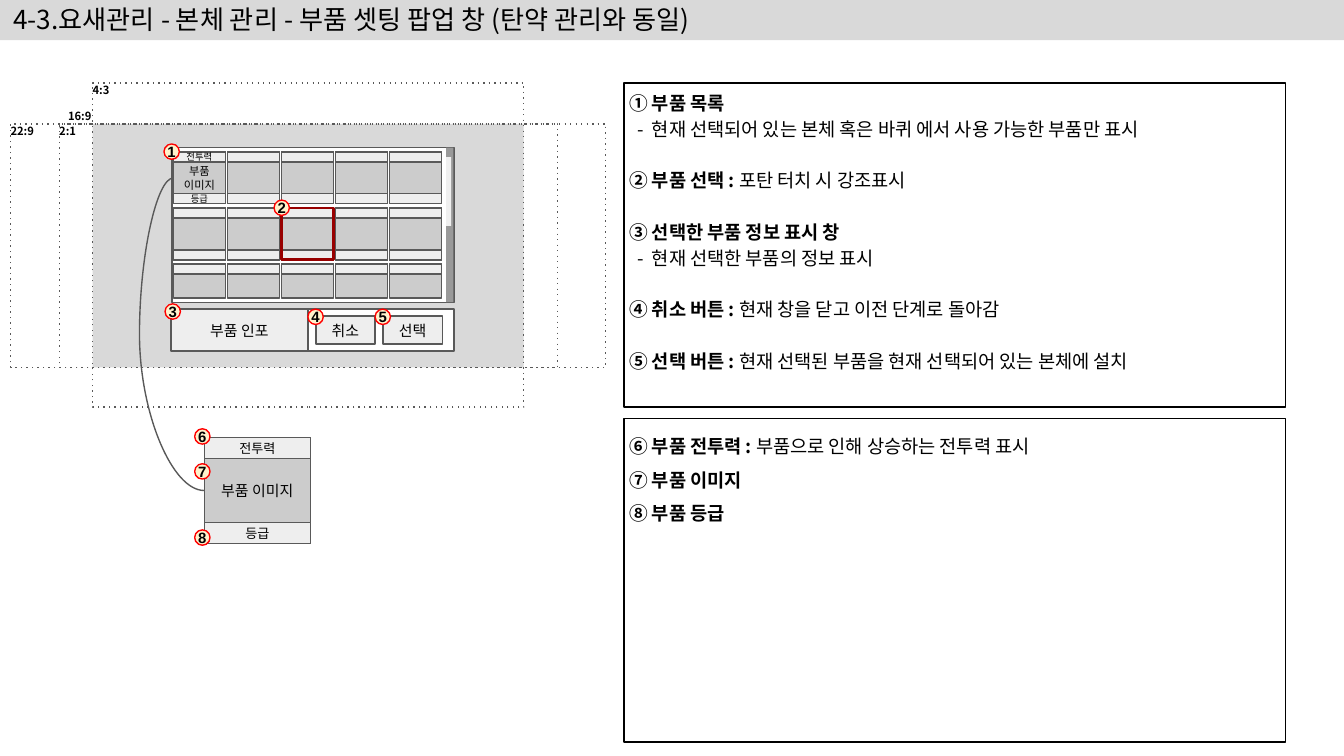
"""Build the part-setting popup wireframe slide with its descriptions."""
from dataclasses import dataclass

from lxml.etree import SubElement
from pptx import Presentation
from pptx.dml.color import RGBColor
from pptx.enum.dml import MSO_LINE
from pptx.enum.shapes import MSO_CONNECTOR, MSO_SHAPE
from pptx.enum.text import MSO_ANCHOR as ANCHOR, MSO_AUTO_SIZE, PP_ALIGN as ALIGN
from pptx.oxml.ns import qn
from pptx.util import Cm, Pt


@dataclass(frozen=True)
class Theme:
    font: str = "Noto Sans CJK KR"
    badge_font: str = "Arial"
    black: str = "000000"
    white: str = "FFFFFF"
    backdrop: str = "D9D9D9"
    outline: str = "595959"
    cell: str = "CCCCCC"
    strip: str = "EEEEEE"
    track: str = "999999"
    thumb: str = "EFEFEF"
    badge: str = "FFF2CC"
    badge_line: str = "FF0000"
    selected: str = "980000"
    title_size: float = 14
    body_size: float = 10
    button_size: float = 8
    detail_size: float = 7
    small_size: float = 6
    tiny_size: float = 5
    line: float = 0.75
    thick_line: float = 1.5


THEME = Theme()
FRAME = (1.75, 1.57, 8.15, 6.12)
GRID_LEFT, GRID_TOP, COLUMN_STEP, ROW_STEP = 3.28, 2.87, 1.02, 1.06
CELL, SHORT_CELL, STRIP = 0.98, 0.64, 0.19
DETAIL_LEFT, DETAIL_TOP, DETAIL, DETAIL_STRIP = 3.86, 8.26, 2.01, 0.4
NOTE_LEFT, NOTE_WIDTH, NOTE_HEIGHT = 11.79, 12.5, 6.12
BLANK_LINE = 13.8

BADGES = ((3.1, 2.72), (5.18, 3.78), (3.12, 5.74), (5.82, 5.84),
          (7.09, 5.84), (3.68, 8.1), (3.68, 8.76), (3.68, 10.01))
RATIO_LABELS = (
    ("2:1", 1.12, 2.34, ALIGN.LEFT, ANCHOR.TOP),
    ("22:9", 0.2, 2.34, ALIGN.LEFT, ANCHOR.TOP),
    ("4:3", 1.75, 1.57, ALIGN.LEFT, ANCHOR.TOP),
    ("16:9", 1.09, 1.85, ALIGN.RIGHT, ANCHOR.BOTTOM),
)
POPUP_NOTES = (
    ("① 부품 목록", ""),
    ("", "현재 선택되어 있는 본체 혹은 바퀴 에서 사용 가능한 부품만 표시"),
    ("② 부품 선택 : ", "포탄 터치 시 강조표시"),
    ("③ 선택한 부품 정보 표시 창", ""),
    ("", "현재 선택한 부품의 정보 표시"),
    ("④ 취소 버튼 : ", "현재 창을 닫고 이전 단계로 돌아감"),
    ("⑤ 선택 버튼 : ", "현재 선택된 부품을 현재 선택되어 있는 본체에 설치"),
)
CELL_NOTES = (
    ("⑥ 부품 전투력 : ", "부품으로 인해 상승하는 전투력 표시"),
    ("⑦ 부품 이미지", ""),
    ("⑧ 부품 등급", ""),
)


def style_paragraph(paragraph, size, align=ALIGN.LEFT, bold=False, name=THEME.font):
    """Set alignment and one font, Korean letters included, on a paragraph."""
    paragraph.alignment = align
    font = paragraph.font
    font.size, font.bold, font.name = Pt(size), bold, name
    font.color.rgb = RGBColor.from_string(THEME.black)
    defaults = paragraph._p.pPr.find(qn("a:defRPr"))
    SubElement(defaults, qn("a:ea"), typeface=name)


def set_frame(frame, margin_x=0, margin_y=0, anchor=ANCHOR.MIDDLE, wrap=True):
    """Set the margins, anchor and wrapping of a text frame."""
    frame.auto_size = MSO_AUTO_SIZE.NONE
    frame.word_wrap, frame.vertical_anchor = wrap, anchor
    frame.margin_left = frame.margin_right = Cm(margin_x)
    frame.margin_top = frame.margin_bottom = Cm(margin_y)


def paint(shape, fill=None, line=None, width=THEME.line):
    """Give a shape its fill and outline, or none of them."""
    if fill:
        shape.fill.solid()
        shape.fill.fore_color.rgb = RGBColor.from_string(fill)
    else:
        shape.fill.background()
    if line:
        shape.line.color.rgb = RGBColor.from_string(line)
        shape.line.width = Pt(width)
    else:
        shape.line.fill.background()


def add_box(slide, box, fill=None, line=THEME.outline, text="", size=THEME.button_size,
            width=THEME.line):
    """Add a rectangle with an optional centred label."""
    shape = slide.shapes.add_shape(MSO_SHAPE.RECTANGLE, *map(Cm, box))
    shape.shadow.inherit = False
    paint(shape, fill, line, width)
    if text:
        set_frame(shape.text_frame)
        shape.text_frame.text = text
        style_paragraph(shape.text_frame.paragraphs[0], size, ALIGN.CENTER)
    return shape


def add_dotted_box(slide, box):
    """Add an unfilled rectangle with a dotted outline."""
    shape = add_box(slide, box)
    shape.line.dash_style = MSO_LINE.ROUND_DOT
    shape._element.spPr.find(".//" + qn("a:prstDash")).set("val", "dot")


def add_ratio_label(slide, text, left, top, align, anchor):
    """Add the small bold label of a screen ratio."""
    label = slide.shapes.add_textbox(Cm(left), Cm(top), Cm(0.64), Cm(0.46))
    set_frame(label.text_frame, anchor=anchor)
    label.text_frame.text = text
    style_paragraph(label.text_frame.paragraphs[0], THEME.small_size, align, True)


def add_badge(slide, number, left, top):
    """Add a numbered round marker."""
    badge = slide.shapes.add_shape(MSO_SHAPE.OVAL, Cm(left), Cm(top), Cm(0.29), Cm(0.29))
    badge.shadow.inherit = False
    paint(badge, THEME.badge, THEME.badge_line)
    set_frame(badge.text_frame, wrap=False)
    badge.text_frame.text = str(number)
    style_paragraph(badge.text_frame.paragraphs[0], THEME.button_size, ALIGN.CENTER,
                    True, THEME.badge_font)


def add_part_cell(slide, left, top, width, height, strip, labels=("", "", ""),
                  sizes=(THEME.small_size, THEME.tiny_size), has_grade=True):
    """Add a part cell with a power strip above and a grade strip below."""
    power, image, grade = labels
    image_size, strip_size = sizes
    add_box(slide, (left, top, width, height), THEME.cell, text=image, size=image_size)
    if has_grade:
        add_box(slide, (left, top + height - strip, width, strip), THEME.strip,
                text=grade, size=strip_size)
    add_box(slide, (left, top, width, strip), THEME.strip, text=power, size=strip_size)


def add_curve(slide, start, end, bend):
    """Add a curved connector that bulges by the given share of its width."""
    curve = slide.shapes.add_connector(MSO_CONNECTOR.CURVE, *map(Cm, start + end))
    curve.line.color.rgb = RGBColor.from_string(THEME.outline)
    curve.line.width = Pt(THEME.line)
    properties = curve._element.spPr
    SubElement(properties, qn("a:effectLst"))
    guides = properties.find(qn("a:prstGeom")).get_or_add_avLst()
    SubElement(guides, qn("a:gd"), name="adj1", fmla=f"val {round(bend * 100000)}")


def place(shape, left, top, width, height):
    """Move and resize a placeholder."""
    shape.left, shape.top = Cm(left), Cm(top)
    shape.width, shape.height = Cm(width), Cm(height)


def fill_title(title, text):
    """Turn the title placeholder into the heading bar."""
    place(title, 0, -0.03, 25.4, 0.79)
    paint(title, THEME.backdrop)
    set_frame(title.text_frame, margin_x=0.25)
    title.text_frame.text = text
    style_paragraph(title.text_frame.paragraphs[0], THEME.title_size)


def fill_notes(body, top, notes, spacing, gap):
    """Write headed notes in a body placeholder, with dashes for plain lines."""
    place(body, NOTE_LEFT, top, NOTE_WIDTH, NOTE_HEIGHT)
    paint(body, line=THEME.black)
    frame = body.text_frame
    set_frame(frame, 0.1, 0.1, ANCHOR.TOP)
    for index, (heading, detail) in enumerate(notes):
        paragraph = frame.add_paragraph() if index else frame.paragraphs[0]
        properties = paragraph._p.get_or_add_pPr()
        margin, indent = (Cm(0), Cm(0)) if heading else (Cm(0.43), Cm(-0.28))
        properties.set("marL", str(margin))
        properties.set("indent", str(indent))
        if heading:
            SubElement(properties, qn("a:buNone"))
        else:
            SubElement(properties, qn("a:buFont"), typeface=THEME.font)
            SubElement(properties, qn("a:buChar"), char="-")
        paragraph.line_spacing = spacing
        paragraph.space_before = Pt(gap if index and heading else 0)
        style_paragraph(paragraph, THEME.body_size, bold=bool(heading))
        for text, bold in ((heading, True), (detail, False)):
            if text:
                run = paragraph.add_run()
                run.text = text
                if heading and detail:
                    run.font.bold = bold


def add_screen(slide):
    """Draw the screen backdrop with its ratio frames."""
    add_box(slide, (1.75, 2.34, 8.15, 4.6), THEME.backdrop, None)
    for box in ((1.12, 2.34, 9.42, 4.6), FRAME, (0.2, 2.34, 11.25, 4.6)):
        add_dotted_box(slide, box)
    for label in RATIO_LABELS:
        add_ratio_label(slide, *label)


def add_popup(slide):
    """Draw the part list, its scroll bar and the button row."""
    add_box(slide, (3.25, 2.79, 5.33, 2.92), THEME.white)
    add_box(slide, (8.43, 2.79, 0.14, 2.92), THEME.track, None)
    add_box(slide, (8.43, 2.97, 0.1, 1.3), THEME.thumb, None)
    for row, height in enumerate((CELL, CELL, SHORT_CELL)):
        for column in range(5):
            labels = ("", "", "") if row or column else ("전투력", "부품 이미지", "등급")
            add_part_cell(slide, GRID_LEFT + column * COLUMN_STEP, GRID_TOP + row * ROW_STEP,
                          CELL, height, STRIP, labels, has_grade=height == CELL)
    add_box(slide, (GRID_LEFT + 2 * COLUMN_STEP, GRID_TOP + ROW_STEP, CELL, CELL),
            line=THEME.selected, width=THEME.thick_line)
    add_box(slide, (3.25, 5.84, 5.33, 0.79), THEME.white)
    add_box(slide, (3.23, 5.84, 2.59, 0.79), THEME.strip, text="부품 인포")
    for left, text in ((5.97, "취소"), (7.24, "선택")):
        add_box(slide, (left, 5.97, 1.12, 0.53), THEME.strip, text=text)


def main():
    """Build and save the slide."""
    presentation = Presentation()
    presentation.slide_width, presentation.slide_height = Cm(25.4), Cm(14.28)
    slide = presentation.slides.add_slide(presentation.slide_layouts[3])
    fill_title(slide.shapes.title, "4-3.요새관리 - 본체 관리 - 부품 셋팅 팝업 창 (탄약 관리와 동일)")
    fill_notes(slide.placeholders[1], 1.57, POPUP_NOTES, 1.15, BLANK_LINE)
    fill_notes(slide.placeholders[2], 7.9, CELL_NOTES, 1.5, 0)
    add_screen(slide)
    add_popup(slide)
    add_part_cell(slide, DETAIL_LEFT, DETAIL_TOP, DETAIL, DETAIL, DETAIL_STRIP,
                  ("전투력", "부품 이미지", "등급"), (THEME.button_size, THEME.detail_size))
    add_curve(slide, (GRID_LEFT, GRID_TOP + CELL / 2),
              (DETAIL_LEFT, DETAIL_TOP + DETAIL / 2), -1.11)
    for number, (left, top) in enumerate(BADGES, 1):
        add_badge(slide, number, left, top)
    presentation.save("out.pptx")


if __name__ == "__main__":
    main()
